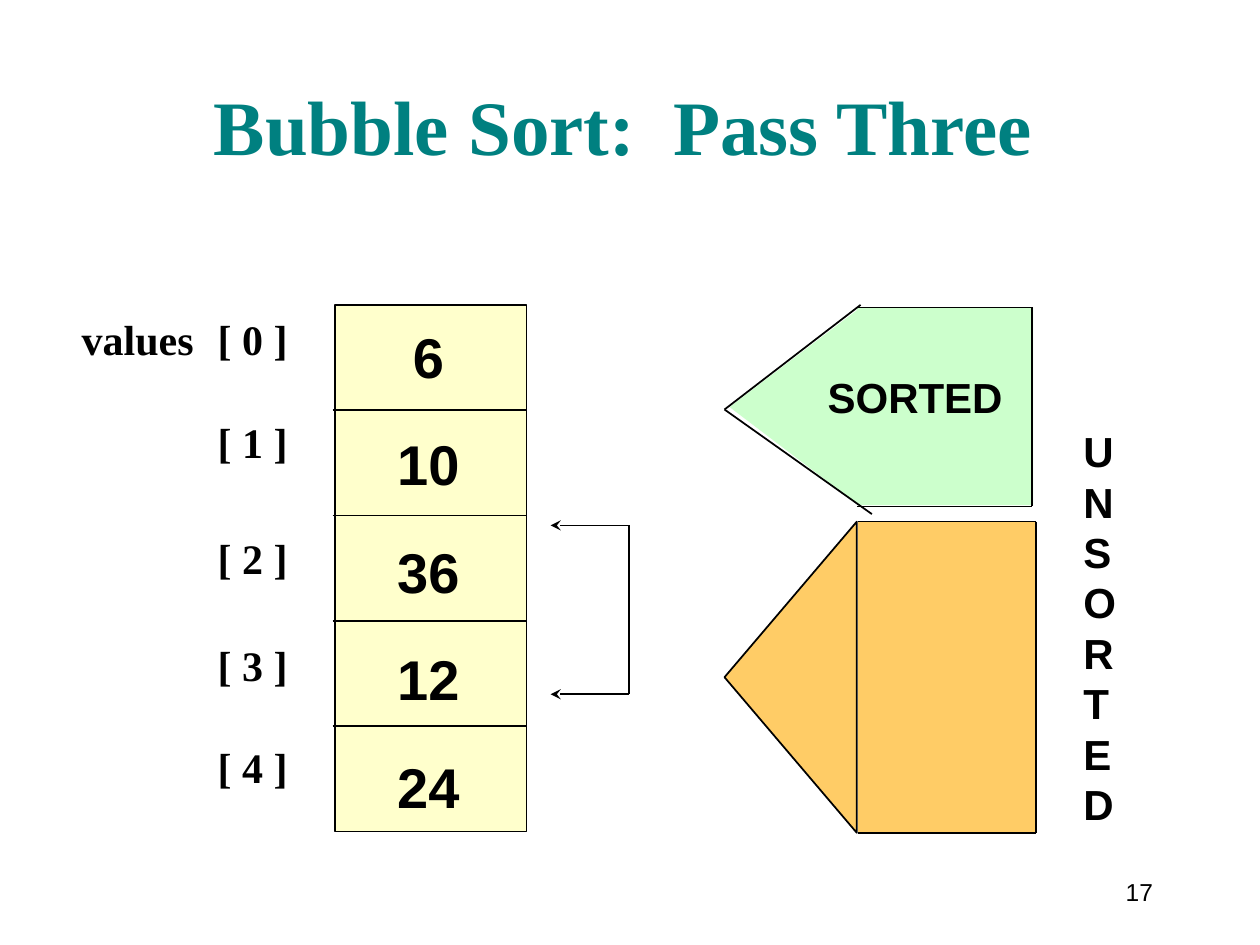
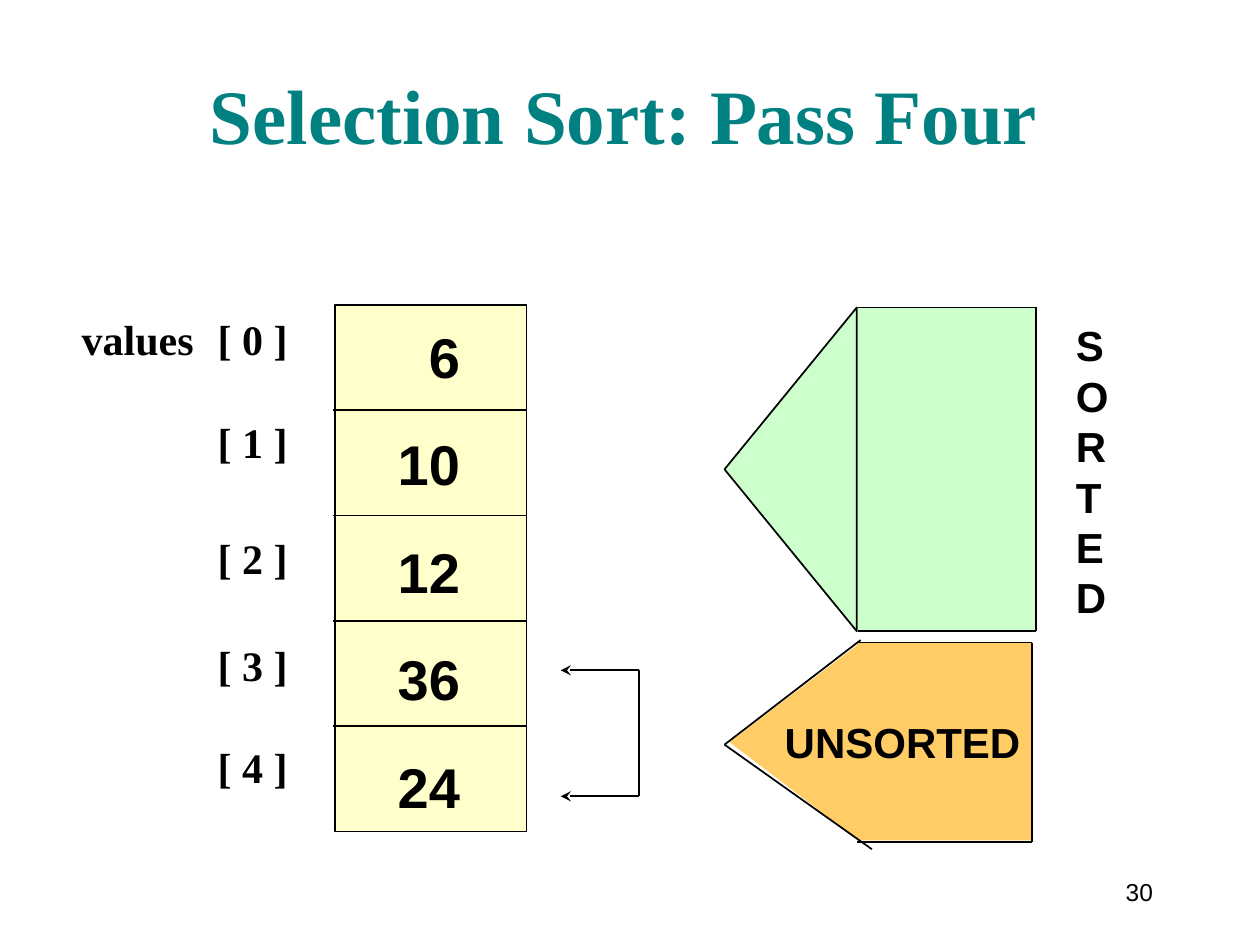
from pptx import Presentation
from pptx.dml.color import RGBColor
from pptx.enum.shapes import MSO_CONNECTOR, MSO_SHAPE
from pptx.enum.text import MSO_ANCHOR, MSO_AUTO_SIZE, PP_ALIGN
from pptx.oxml.ns import qn
from pptx.util import Inches, Pt
from lxml.etree import SubElement

# Shared style
TEAL = RGBColor(0x00, 0x80, 0x80)
BLACK = RGBColor(0x00, 0x00, 0x00)
CREAM = RGBColor(0xFF, 0xFF, 0xCC)
GREEN = RGBColor(0xCC, 0xFF, 0xCC)
ORANGE = RGBColor(0xFF, 0xCC, 0x66)
SERIF, SANS = "Times New Roman", "Arial"
TITLE_ONLY = 5

# Shared geometry of the array and the region markers, in inches
ARRAY_LEFT, ARRAY_TOP, ARRAY_WIDTH, ARRAY_HEIGHT = 2.66, 2.42, 1.52, 4.18
CELLS = 5
INDEX_GAPS = [0, 30, 37.5, 32.5, 29.5]  # points above each index label
TIP_X = 5.75


def format_para(para, size, font, bold=True, color=BLACK, align=PP_ALIGN.LEFT):
    para.alignment = align
    for span in para.runs:
        span.font.size = Pt(size)
        span.font.name = font
        span.font.bold = bold
        span.font.color.rgb = color


def add_text(page, lines, left, top, width, height, size, font=SANS,
             bold=True, align=PP_ALIGN.LEFT, wrap=False):
    box = page.shapes.add_textbox(Inches(left), Inches(top),
                                  Inches(width), Inches(height))
    frame = box.text_frame
    frame.word_wrap = wrap
    frame.text = "\n".join(lines)
    for para in frame.paragraphs:
        format_para(para, size, font, bold, align=align)
    return frame


def add_block(page, kind, left, top, width, height, fill, outlined=False):
    block = page.shapes.add_shape(kind, Inches(left), Inches(top),
                                  Inches(width), Inches(height))
    block.shadow.inherit = False
    block.fill.solid()
    block.fill.fore_color.rgb = fill
    if outlined:
        block.line.color.rgb = BLACK
        block.line.width = Pt(1)
    else:
        block.line.fill.background()
    return block


def add_left_triangle(page, left, top, width, height, fill, outlined=False):
    """Place a triangle that points left and fills the given area."""
    shift = (width - height) / 2
    triangle = add_block(page, MSO_SHAPE.ISOSCELES_TRIANGLE, left + shift,
                         top - shift, height, width, fill, outlined)
    triangle.rotation = 270


def add_line(page, x1, y1, x2, y2, arrow_at_start=False):
    line = page.shapes.add_connector(MSO_CONNECTOR.STRAIGHT, Inches(x1),
                                     Inches(y1), Inches(x2), Inches(y2))
    line.line.color.rgb = BLACK
    line.line.width = Pt(1)
    if arrow_at_start:
        SubElement(line.line._get_or_add_ln(), qn("a:headEnd"), type="stealth")
    SubElement(line._element.spPr, qn("a:effectLst"))


def add_open_edges(page, left, top, right, bottom):
    """Outline the top, bottom and right side of a marker's body."""
    add_line(page, left, top, right, top)
    add_line(page, left, bottom, right, bottom)
    add_line(page, right, top, right, bottom)


def add_title(page, text, top):
    title = page.shapes.title
    title.left, title.top = Inches(0.88), Inches(top)
    title.width, title.height = Inches(8.29), Inches(1.25)
    frame = title.text_frame
    frame.text = text
    frame.auto_size = MSO_AUTO_SIZE.NONE
    frame.vertical_anchor = MSO_ANCHOR.BOTTOM
    format_para(frame.paragraphs[0], 44, SERIF, color=TEAL,
                align=PP_ALIGN.CENTER)


def add_page_number(page, number):
    frame = add_text(page, [number], 8.58, 6.83, 0.67, 0.5, 14, bold=False,
                     align=PP_ALIGN.RIGHT)
    frame.vertical_anchor = MSO_ANCHOR.MIDDLE


def add_index_labels(page):
    labels = [f"\t[ {index} ]" for index in range(CELLS)]
    labels[0] = "values" + labels[0]
    frame = add_text(page, labels, 0.55, 1.77, 2.43, 4.53, 24, SERIF,
                     wrap=True)
    frame.margin_top = Inches(0.72)
    for para, gap in zip(frame.paragraphs, INDEX_GAPS):
        para.space_before = Pt(gap)
        tabs = SubElement(para._p.get_or_add_pPr(), qn("a:tabLst"))
        SubElement(tabs, qn("a:tab"), pos=str(Inches(1.08)), algn="l")


def add_array(page, values, align):
    add_block(page, MSO_SHAPE.RECTANGLE, ARRAY_LEFT, ARRAY_TOP, ARRAY_WIDTH,
              ARRAY_HEIGHT, CREAM, outlined=True)
    for row in range(1, CELLS):
        y = ARRAY_TOP + row * ARRAY_HEIGHT / CELLS
        add_line(page, ARRAY_LEFT - 0.02, y, ARRAY_LEFT + ARRAY_WIDTH, y)
    frame = add_text(page, values, 3.05, 2.51, 0.7, 4.1, 32, align=align)
    for para in frame.paragraphs[1:]:
        para.space_before = Pt(23)


def add_large_marker(page, top, height, fill, word, word_left, word_top):
    """Marker of a long region, with its name written downwards beside it."""
    add_text(page, word, word_left, word_top, 0.46, 0.4 * len(word) + 0.1, 24)
    add_left_triangle(page, TIP_X, top, 1.05, height, fill, outlined=True)
    add_block(page, MSO_SHAPE.RECTANGLE, 6.81, top, 1.41, height, fill)
    add_open_edges(page, 6.81, top, 8.22, top + height)


def add_small_marker(page, top, fill, word, word_left, word_top, word_width):
    """Marker of a short region, with its name inside."""
    add_left_triangle(page, TIP_X + 0.04, top, 1.04, 1.58, fill)
    add_block(page, MSO_SHAPE.RECTANGLE, 6.8, top, 1.4, 1.57, fill)
    add_open_edges(page, 6.8, top, 8.19, top + 1.58)
    add_line(page, TIP_X, top + 0.81, 6.83, top - 0.02)
    add_line(page, TIP_X, top + 0.81, 6.92, top + 1.64)
    add_text(page, [word], word_left, word_top, word_width, 0.5, 24)


def add_swap_bracket(page, right, top, bottom):
    add_line(page, right, top, right, bottom)
    for y in (top, bottom):
        add_line(page, right - 0.62, y, right, y, arrow_at_start=True)


def add_sort_page(deck, title, title_top, number, values, align):
    page = deck.slides.add_slide(deck.slide_layouts[TITLE_ONLY])
    add_title(page, title, title_top)
    add_page_number(page, number)
    add_index_labels(page)
    add_array(page, values, align)
    return page


def main():
    deck = Presentation()
    deck.slide_width, deck.slide_height = Inches(10), Inches(7.5)

    # Bubble sort
    page = add_sort_page(deck, "Bubble Sort:  Pass Three ", 0.16, "17",
                         ["6", "10", "36", "12", "24"], PP_ALIGN.CENTER)
    add_large_marker(page, 4.14, 2.47, ORANGE, "UNSORTED", 8.5, 3.33)
    add_small_marker(page, 2.44, GREEN, "SORTED", 6.47, 2.9, 1.59)
    add_swap_bracket(page, 4.99, 4.17, 5.51)

    # Selection sort
    page = add_sort_page(deck, "Selection Sort: Pass Four ", 0.07, "30",
                         ["6", "10", "12", "36", "24"], PP_ALIGN.RIGHT)
    add_large_marker(page, 2.44, 2.57, GREEN, "SORTED", 8.44, 2.49)
    add_small_marker(page, 5.1, ORANGE, "UNSORTED", 6.13, 5.64, 2.07)
    add_swap_bracket(page, 5.07, 5.32, 6.32)

    deck.save("out.pptx")


if __name__ == "__main__":
    main()
